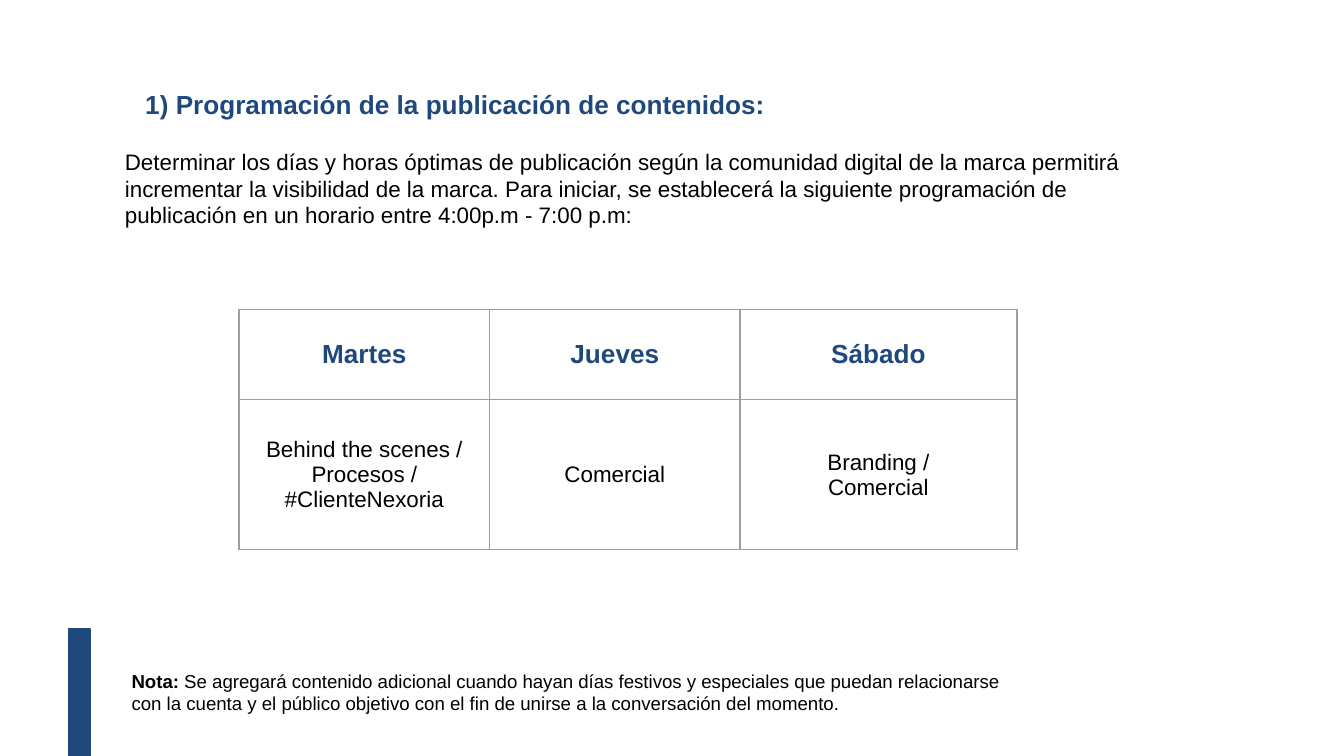
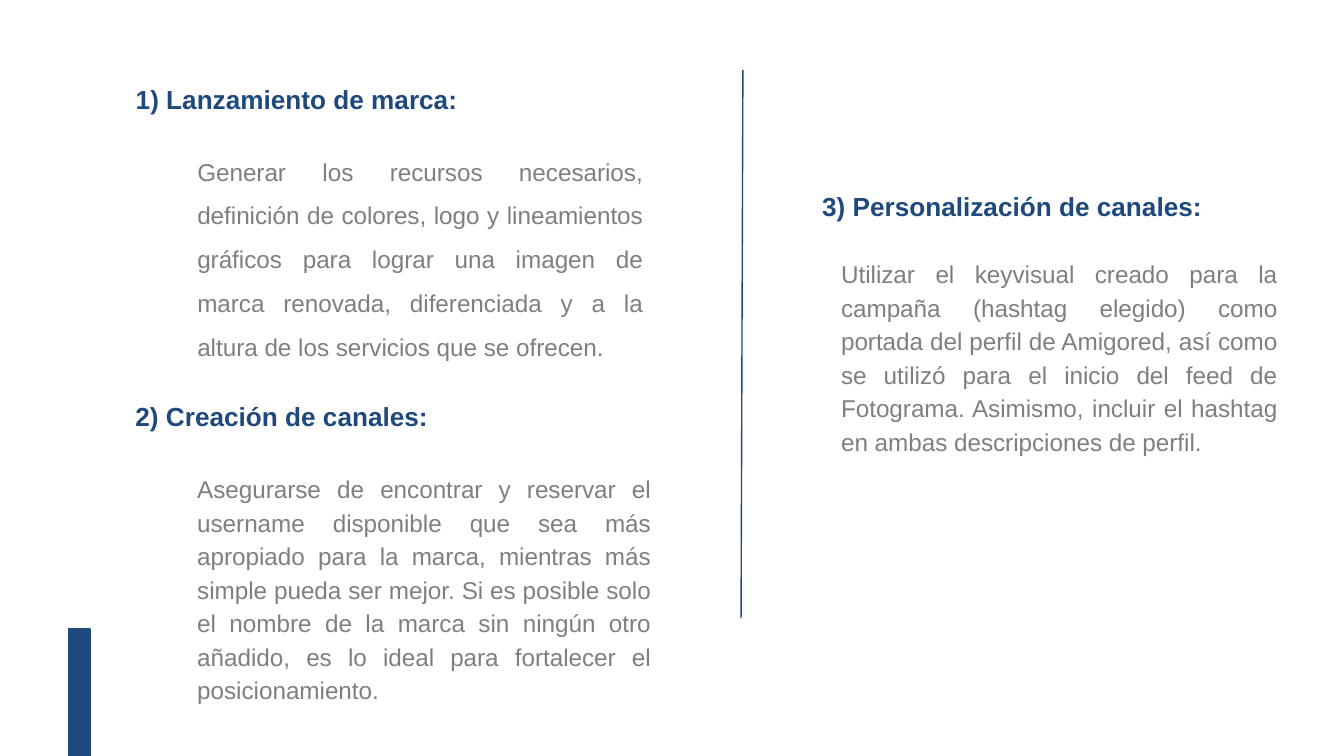
"""Build two slides: the publication schedule and the brand launch steps."""
from lxml.etree import SubElement
from pptx import Presentation
from pptx.dml.color import RGBColor
from pptx.enum.shapes import MSO_CONNECTOR, MSO_SHAPE
from pptx.enum.text import MSO_ANCHOR, MSO_AUTO_SIZE, PP_ALIGN
from pptx.oxml.ns import qn
from pptx.util import Pt

NAVY, GRAY, BLACK, BORDER = "1F497D", "7F7F7F", "000000", "9E9E9E"
FONT = "Arial"
INSET = Pt(7.2)
rgb = RGBColor.from_string


def style(p, size, color, bold=False, align=PP_ALIGN.LEFT):
    """Align a paragraph and format all its runs."""
    p.alignment = align
    for r in p.runs:
        r.font.name, r.font.size, r.font.bold = FONT, Pt(size), bold
        r.font.color.rgb = rgb(color)


def add_text(s, box, text, size, color, heading=False, align=PP_ALIGN.LEFT, title=False):
    """Place text in a text box or the title placeholder and return its paragraph."""
    left, top, width, height = [Pt(v) for v in box]
    if title:
        sp = s.shapes.title
        sp.left, sp.top, sp.width, sp.height = left, top, width, height
    else:
        sp = s.shapes.add_textbox(left, top, width, height)
    tf = sp.text_frame
    tf.word_wrap = True
    tf.auto_size = MSO_AUTO_SIZE.SHAPE_TO_FIT_TEXT
    tf.vertical_anchor = MSO_ANCHOR.TOP
    tf.margin_left = tf.margin_right = tf.margin_top = tf.margin_bottom = INSET
    tf.text = text
    p = tf.paragraphs[0]
    style(p, size, color, heading, align)
    if heading:
        pPr = p._p.get_or_add_pPr()
        pPr.set("marL", str(INSET))
        pPr.set("indent", "0")
    return p


prs = Presentation()
prs.slide_width, prs.slide_height = Pt(720), Pt(405)
schedule, launch = [prs.slides.add_slide(prs.slide_layouts[5]) for _ in range(2)]

for s in (schedule, launch):
    bar = s.shapes.add_shape(MSO_SHAPE.RECTANGLE, Pt(36.7), Pt(337), Pt(11.5), Pt(69))
    bar.shadow.inherit = False
    bar.fill.solid()
    bar.fill.fore_color.rgb = rgb(NAVY)
    bar.line.color.rgb = rgb(NAVY)
    bar.line.width = Pt(0.75)

add_text(schedule, (63.4, 40.3, 379, 31.7), "1) Programación de la publicación de contenidos:",
         14, NAVY, heading=True, title=True)
add_text(schedule, (59.8, 72, 552, 58),
         "Determinar los días y horas óptimas de publicación según la comunidad digital de la "
         "marca permitirá incrementar la visibilidad de la marca. Para iniciar, se establecerá "
         "la siguiente programación de publicación en un horario entre 4:00p.m - 7:00 p.m:",
         12, BLACK)

rows = [("Martes", "Jueves", "Sábado"),
        ("Behind the scenes / Procesos / #ClienteNexoria", "Comercial", "Branding /\nComercial")]
widths, heights = (134.4, 134, 148.4), (48.2, 80.4)
table = schedule.shapes.add_table(len(rows), len(widths), Pt(128), Pt(166),
                                  Pt(sum(widths)), Pt(sum(heights))).table
table.first_row = table.horz_banding = False
for column, width in zip(table.columns, widths):
    column.width = Pt(width)
for i, (row, height) in enumerate(zip(rows, heights)):
    table.rows[i].height = Pt(height)
    for j, text in enumerate(row):
        cell = table.cell(i, j)
        cell.text_frame.text = text
        cell.vertical_anchor = MSO_ANCHOR.MIDDLE
        cell.margin_left = cell.margin_right = cell.margin_top = cell.margin_bottom = INSET
        for p in cell.text_frame.paragraphs:
            style(p, 12 if i else 14, BLACK if i else NAVY, i == 0, PP_ALIGN.CENTER)
        tcPr = cell._tc.get_or_add_tcPr()
        for side in ("a:lnL", "a:lnR", "a:lnT", "a:lnB"):
            ln = SubElement(tcPr, qn(side), w=str(Pt(0.75)))
            SubElement(SubElement(ln, qn("a:solidFill")), qn("a:srgbClr"), val=BORDER)
        cell.fill.background()

p = add_text(schedule, (63.4, 351.4, 489, 39), "Nota:", 10, BLACK)
r = p.add_run()
r.text = (" Se agregará contenido adicional cuando hayan días festivos y especiales que puedan "
          "relacionarse con la cuenta y el público objetivo con el fin de unirse a la "
          "conversación del momento.")
style(p, 10, BLACK)
p.runs[0].font.bold = True

steps = [
    ("1) Lanzamiento de marca:", (58.3, 37.4), (98.6, 69.1, 252.7, 124.6), 1.5, 26,
     "Generar los recursos necesarios, definición de colores, logo y lineamientos gráficos para "
     "lograr una imagen de marca renovada, diferenciada y a la altura de los servicios que se "
     "ofrecen."),
    ("2) Creación de canales:", (58.3, 207.4), (98.6, 244.8, 257, 139), 1.15, 0,
     "Asegurarse de encontrar y reservar el username disponible que sea más apropiado para la "
     "marca, mientras más simple pueda ser mejor. Si es posible solo el nombre de la marca sin "
     "ningún otro añadido, es lo ideal para fortalecer el posicionamiento."),
    ("3) Personalización de canales:", (426.2, 95), (443.5, 129.6, 247.7, 121), 1.15, 0,
     "Utilizar el keyvisual creado para la campaña (hashtag elegido) como portada del perfil de "
     "Amigored, así como se utilizó para el inicio del feed de Fotograma. Asimismo, incluir el "
     "hashtag en ambas descripciones de perfil."),
]
for i, (heading, corner, box, spacing, gap, text) in enumerate(steps):
    add_text(launch, (*corner, 235.4, 31.7), heading, 14, NAVY, heading=True, title=i == 0)
    p = add_text(launch, box, text, 13, GRAY, align=PP_ALIGN.JUSTIFY)
    p.line_spacing = spacing
    p.space_before = p.space_after = Pt(gap)

divider = launch.shapes.add_connector(MSO_CONNECTOR.STRAIGHT, Pt(398), Pt(37.4), Pt(397), Pt(331.2))
divider.line.color.rgb = rgb(NAVY)
divider.line.width = Pt(0.75)
SubElement(divider._element.spPr, qn("a:effectLst"))

prs.save("out.pptx")
